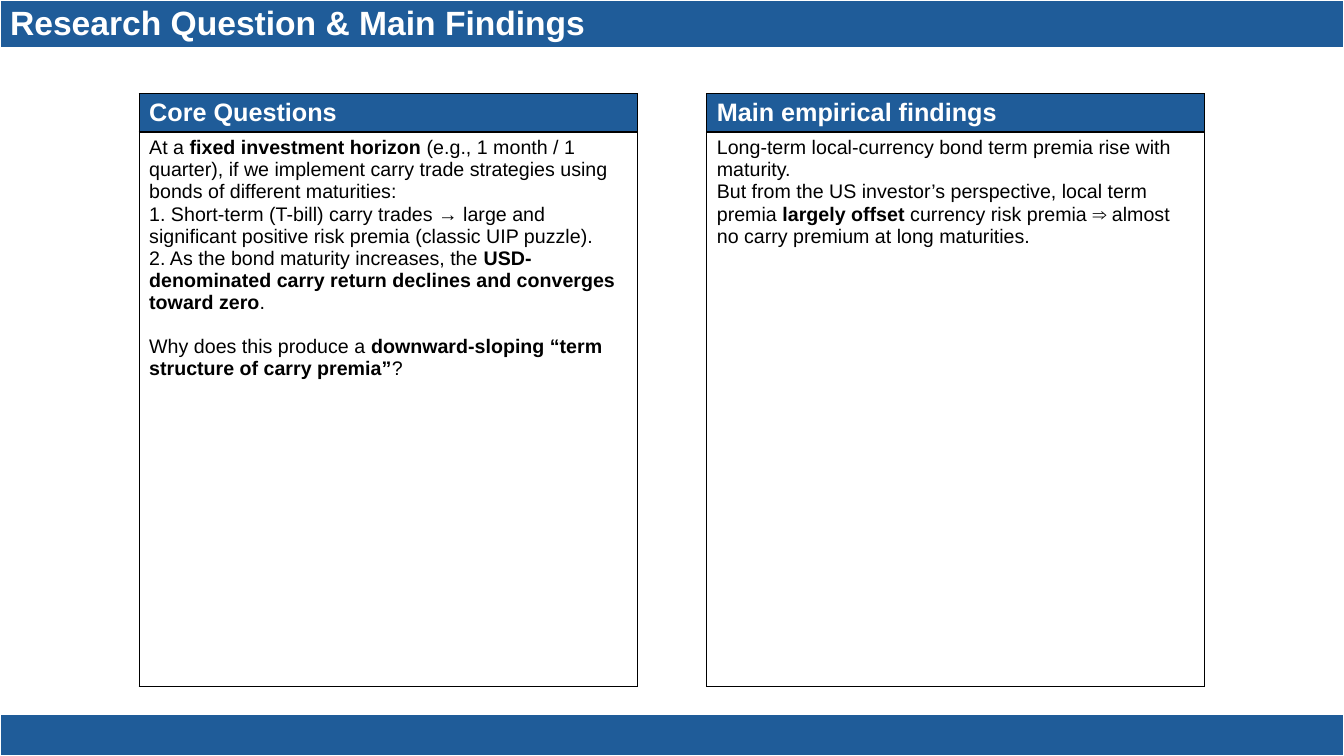
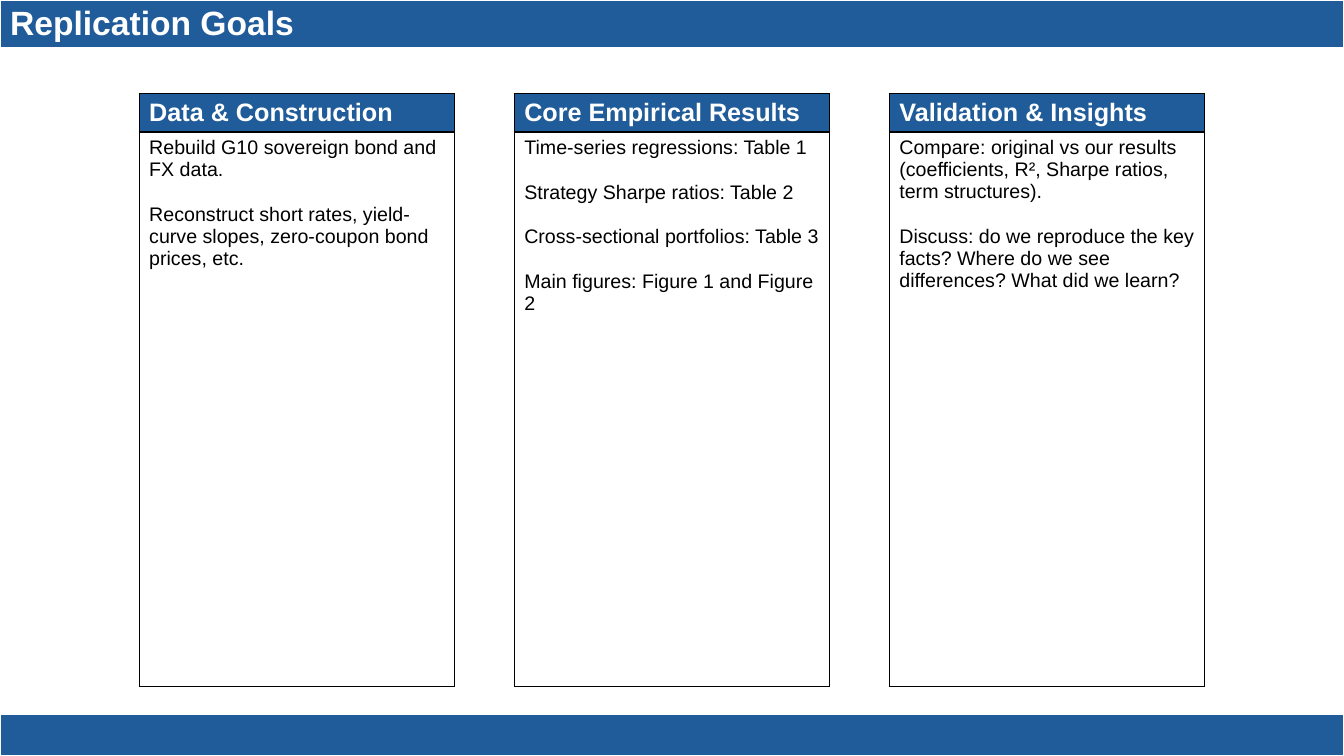
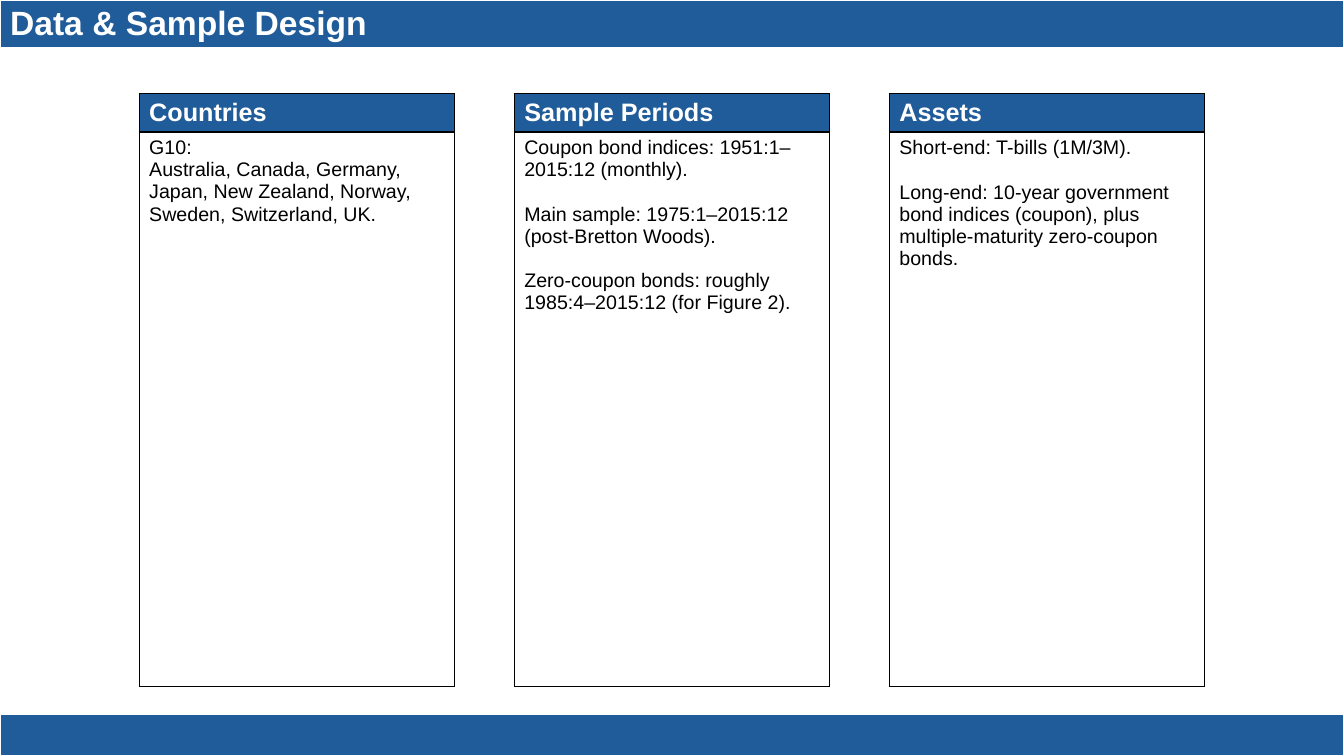
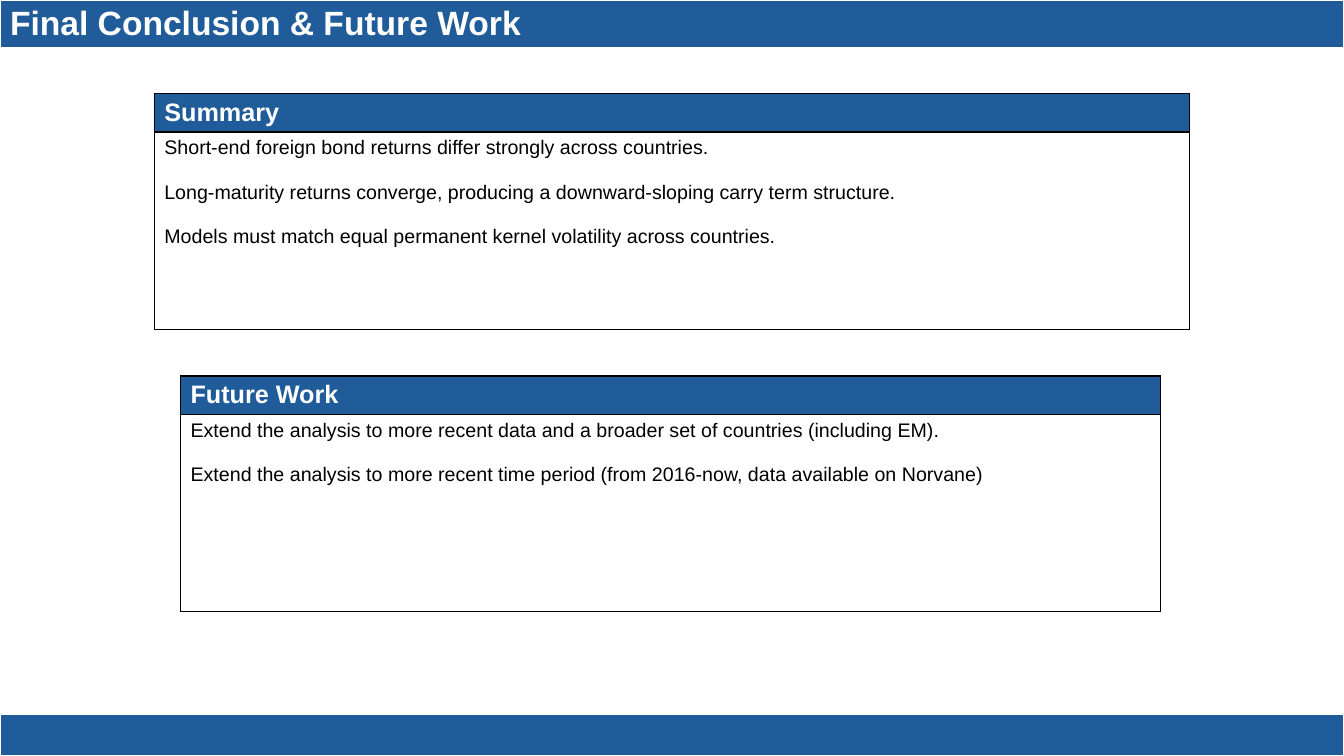
from pptx import Presentation
from pptx.dml.color import RGBColor
from pptx.oxml import parse_xml
from pptx.oxml.ns import nsdecls
from pptx.util import Inches, Pt

BLUE = RGBColor(0x1F, 0x5C, 0x99)
WHITE = RGBColor(0xFF, 0xFF, 0xFF)
BLACK = RGBColor(0x00, 0x00, 0x00)

TITLE = {"name": "Arial", "size": Pt(24), "bold": True, "color": WHITE}
HEADING = {"name": "Arial", "size": Pt(18), "bold": True, "color": WHITE}
BODY = {"name": "Arial", "size": Pt(14), "bold": False, "color": BLACK}
STRONG = {**BODY, "bold": True}
PLAIN_TABLE = {"first_row": False, "horz_banding": False}

SLIDE_W, SLIDE_H = 13.33, 7.5
TITLE_H, TITLE_ROW_H = 0.5, 0.19
FOOTER_H = 0.41
BLOCK_GAP = Pt(16)
COLUMNS_BOX = (1.38, 0.93, 10.57, 5.9)
COLUMN_ROWS = (0.25, 5.5)
SECTION_ROWS = (0.3, 1.96)

COLUMN_SLIDES = [
    ("Research Question & Main Findings", 4.94, [
        ("Core Questions", [
            ["At a **fixed investment horizon** (e.g., 1 month / 1 quarter), if we "
             "implement carry trade strategies using bonds of different maturities:",
             "1. Short-term (T-bill) carry trades → large and significant positive "
             "risk premia (classic UIP puzzle).",
             "2. As the bond maturity increases, the **USD-denominated carry return "
             "declines and converges toward zero**."],
            ["Why does this produce a **downward-sloping “term structure of carry "
             "premia”**?"]]),
        ("Main empirical findings", [
            ["Long-term local-currency bond term premia rise with maturity.",
             "But from the US investor’s perspective, local term premia **largely "
             "offset** currency risk premia ⇒ almost no carry premium at long "
             "maturities."]]),
    ]),
    ("Replication Goals", 3.13, [
        ("Data & Construction", [
            ["Rebuild G10 sovereign bond and FX data."],
            ["Reconstruct short rates, yield-curve slopes, zero-coupon bond prices, "
             "etc."]]),
        ("Core Empirical Results", [
            ["Time-series regressions: Table 1"],
            ["Strategy Sharpe ratios: Table 2"],
            ["Cross-sectional portfolios: Table 3"],
            ["Main figures: Figure 1 and Figure 2"]]),
        ("Validation & Insights", [
            ["Compare: original vs our results (coefficients, R², Sharpe ratios, "
             "term structures)."],
            ["Discuss: do we reproduce the key facts? Where do we see differences? "
             "What did we learn?"]]),
    ]),
    ("Data & Sample Design", 3.13, [
        ("Countries", [
            ["G10:",
             "Australia, Canada, Germany, Japan, New Zealand, Norway, Sweden, "
             "Switzerland, UK."]]),
        ("Sample Periods", [
            ["Coupon bond indices: 1951:1–2015:12 (monthly)."],
            ["Main sample: 1975:1–2015:12 (post-Bretton Woods)."],
            ["Zero-coupon bonds: roughly 1985:4–2015:12 (for Figure 2)."]]),
        ("Assets", [
            ["Short-end: T-bills (1M/3M)."],
            ["Long-end: 10-year government bond indices (coupon), plus "
             "multiple-maturity zero-coupon bonds."]]),
    ]),
]

CONCLUSION = ("Final Conclusion & Future Work", [
    ((1.53, 0.93, 10.27, 2.36), "Summary", [
        ["Short-end foreign bond returns differ strongly across countries."],
        ["Long-maturity returns converge, producing a downward-sloping carry term "
         "structure."],
        ["Models must match equal permanent kernel volatility across countries."]]),
    ((1.79, 3.73, 9.72, 2.36), "Future Work", [
        ["Extend the analysis to more recent data and a broader set of countries "
         "(including EM)."],
        ["Extend the analysis to more recent time period (from 2016-now, data "
         "available on Norvane)"]]),
])


def set_font(font, style):
    for name, value in style.items():
        if name == "color":
            font.color.rgb = value
        else:
            setattr(font, name, value)


def add_run(p, text, style):
    r = p.add_run()
    r.text = text
    set_font(r.font, style)


def write_blocks(tf, blocks):
    p = tf.paragraphs[0]
    for i, block in enumerate(blocks):
        for j, text in enumerate(block):
            if i or j:
                p = tf.add_paragraph()
            if i and not j:
                p.space_before = BLOCK_GAP
            for k, part in enumerate(text.split("**")):
                if part:
                    add_run(p, part, STRONG if k % 2 else BODY)


def set_borders(cell):
    tc_pr = cell._tc.get_or_add_tcPr()
    for i, side in enumerate(("lnL", "lnR", "lnT", "lnB")):
        tc_pr.insert(i, parse_xml(
            f'<a:{side} {nsdecls("a")} w="{Pt(1)}"><a:solidFill>'
            f'<a:srgbClr val="{BLACK}"/></a:solidFill></a:{side}>'))


def add_filled_table(s, box, row_heights, fills):
    frame = s.shapes.add_table(len(fills), 1, *map(Inches, box))
    tbl = frame.table
    for name, value in PLAIN_TABLE.items():
        setattr(tbl, name, value)
    for row, row_h, color in zip(tbl.rows, row_heights, fills):
        row.height = Inches(row_h)
        fill = row.cells[0].fill
        fill.solid()
        fill.fore_color.rgb = color
    frame.height = Inches(box[3])
    return [row.cells[0] for row in tbl.rows]


def add_panel(s, box, row_heights, heading, blocks):
    head, body = add_filled_table(s, box, row_heights, (BLUE, WHITE))
    for cell in (head, body):
        set_borders(cell)
    add_run(head.text_frame.paragraphs[0], heading, HEADING)
    write_blocks(body.text_frame, blocks)


def add_columns(s, box, width, panels):
    x, y, total, height = box
    step = (total - width) / (len(panels) - 1)
    for i, (heading, blocks) in enumerate(panels):
        add_panel(s, (x + i * step, y, width, height), COLUMN_ROWS, heading, blocks)


def add_title(s, box, text):
    cell, = add_filled_table(s, box, (TITLE_ROW_H,), (BLUE,))
    add_run(cell.text_frame.paragraphs[0], text, TITLE)


def add_footer(s, box):
    add_filled_table(s, box, (FOOTER_H,), (BLUE,))


def add_slide(prs, title):
    s = prs.slides.add_slide(prs.slide_layouts[6])
    add_footer(s, (0, SLIDE_H - FOOTER_H, SLIDE_W, FOOTER_H))
    add_title(s, (0, 0, SLIDE_W, TITLE_H), title)
    return s


def main():
    prs = Presentation()
    prs.slide_width, prs.slide_height = Inches(SLIDE_W), Inches(SLIDE_H)
    for title, width, panels in COLUMN_SLIDES:
        add_columns(add_slide(prs, title), COLUMNS_BOX, width, panels)
    title, panels = CONCLUSION
    s = add_slide(prs, title)
    for box, heading, blocks in panels:
        add_panel(s, box, SECTION_ROWS, heading, blocks)
    prs.save("out.pptx")


if __name__ == "__main__":
    main()
